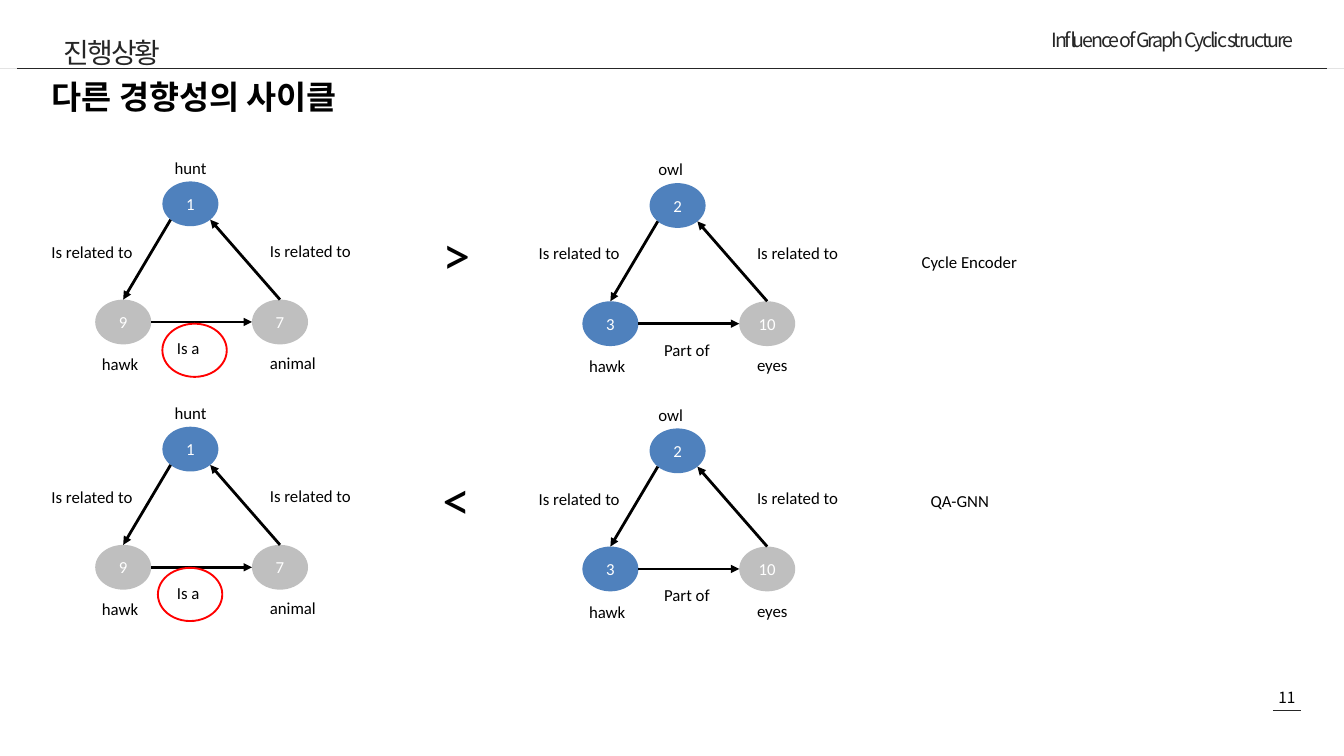
"""Build a slide comparing two graph cycles under two encoders."""
from dataclasses import dataclass

import pptx
import pptx.dml.color
import pptx.enum.shapes
import pptx.enum.text
import pptx.oxml.ns
import pptx.util
from lxml import etree

CELL = pptx.util.Inches(20) // 240
NODE_W, NODE_H = 10, 8
SITE = 0.5 ** 0.5 / 2
KOREAN, LATIN = "Noto Sans CJK KR", "Calibri"
BLACK, CHARCOAL, BLUE, GREY, RED = "000000", "262626", "4F81BD", "BFBFBF", "FF0000"
ALIGN = pptx.enum.text.PP_ALIGN
ANCHOR = pptx.enum.text.MSO_ANCHOR
SHAPE = pptx.enum.shapes.MSO_SHAPE


@dataclass(frozen=True)
class Node:
    number: str
    label: str
    label_col: float
    label_row: float
    fill: str


@dataclass(frozen=True)
class Cycle:
    col: float
    row: float
    apex: Node
    left: Node
    right: Node
    base_relation: str


@dataclass(frozen=True)
class Comparison:
    row: float
    sign: str
    encoder: str
    encoder_col: float
    encoder_row: float
    ring_col: float
    ring_row: float


HUNT_CYCLE = Cycle(17, 0, Node("1", "hunt", 13, -4.9, BLUE), Node("9", "hawk", 0, 30.2, GREY),
                   Node("7", "animal", 30, 30, GREY), "Is a")
OWL_CYCLE = Cycle(104, 0.3, Node("2", "owl", 12.4, -4.9, BLUE), Node("3", "hawk", 0, 30.3, BLUE),
                  Node("10", "eyes", 30, 30.1, GREY), "Part of")
COMPARISONS = [
    Comparison(32.4, ">", "Cycle Encoder", 163.4, 12, 29, 25.4),
    Comparison(76.2, "<", "QA-GNN", 165, 10.8, 28.2, 25.2),
]


def cells(count: float) -> pptx.util.Emu:
    """Turn grid cells into a length."""
    return pptx.util.Emu(round(count * CELL))


def box(col: float, row: float, width: float, height: float) -> list:
    """Return a frame given in grid cells."""
    return [cells(value) for value in (col, row, width, height)]


def rgb(value: str) -> pptx.dml.color.RGBColor:
    """Read a hex colour."""
    return pptx.dml.color.RGBColor.from_string(value)


def write(shape, text: str, size: float, font: str = LATIN, color: str = BLACK,
          bold: bool = False, align=ALIGN.LEFT, anchor=ANCHOR.TOP, spacing: float = 0) -> None:
    """Fill a shape with one formatted paragraph."""
    frame = shape.text_frame
    frame.text = text
    frame.vertical_anchor = anchor
    paragraph = frame.paragraphs[0]
    paragraph.alignment = align
    run = paragraph.runs[0]
    run.font.size = pptx.util.Pt(size)
    run.font.name = font
    run.font.bold = bold
    run.font.color.rgb = rgb(color)
    properties = run.font._element
    if spacing:
        properties.set("spc", str(round(spacing * 100)))
    east_asian = etree.Element(pptx.oxml.ns.qn("a:ea"), typeface=font)
    properties.find(pptx.oxml.ns.qn("a:latin")).addnext(east_asian)


def add_text(slide, frame: list, text: str, size: float = 18, wrap: bool = True, **style):
    """Add a text box."""
    shape = slide.shapes.add_textbox(*frame)
    shape.text_frame.word_wrap = wrap
    write(shape, text, size, **style)
    return shape


def add_plain(slide, kind, frame: list, fill: str = "", outline: str = ""):
    """Add a preset shape without shadow."""
    shape = slide.shapes.add_shape(kind, *frame)
    shape.shadow.inherit = False
    if fill:
        shape.fill.solid()
        shape.fill.fore_color.rgb = rgb(fill)
    else:
        shape.fill.background()
    if outline:
        shape.line.color.rgb = rgb(outline)
        shape.line.width = pptx.util.Pt(2)
    else:
        shape.line.fill.background()
    return shape


def add_line(slide, start: tuple, end: tuple, color: str, width: float, arrow: bool = False):
    """Add a straight line between two grid points."""
    line = slide.shapes.add_connector(pptx.enum.shapes.MSO_CONNECTOR.STRAIGHT,
                                      *map(cells, start + end))
    line.line.color.rgb = rgb(color)
    line.line.width = pptx.util.Pt(width)
    if arrow:
        etree.SubElement(line.line._get_or_add_ln(), pptx.oxml.ns.qn("a:tailEnd"), type="triangle")
    etree.SubElement(line._element.spPr, pptx.oxml.ns.qn("a:effectLst"))
    return line


def add_label(slide, col: float, row: float, text: str, width: float = 20) -> None:
    """Add a small label."""
    add_text(slide, box(col, row, width, 4.8), text)


def add_node(slide, node: Node, col: float, row: float):
    """Add a numbered node."""
    shape = add_plain(slide, SHAPE.OVAL, box(col, row, NODE_W, NODE_H), node.fill)
    write(shape, node.number, 18, color="FFFFFF", align=ALIGN.CENTER, anchor=ANCHOR.MIDDLE)
    return shape


def add_cycle(slide, cycle: Cycle, top: float) -> None:
    """Draw three nodes, their relations and labels."""
    col, row = cycle.col, top + cycle.row
    base = row + 21.1
    add_node(slide, cycle.apex, col + 12, row)
    left = add_node(slide, cycle.left, col, base)
    right = add_node(slide, cycle.right, col + 28, base)

    apex_x, apex_y = col + 12 + NODE_W / 2, row + NODE_H * (0.5 + SITE)
    left_top, right_top = (col + NODE_W / 2, base), (col + 28 + NODE_W / 2, base)
    middle = base + NODE_H / 2
    down = add_line(slide, (apex_x - NODE_W * SITE, apex_y), left_top, BLACK, 3, True)
    down.end_connect(left, 0)
    add_line(slide, (col + NODE_W, middle), (col + 28, middle), BLACK, 3, True)
    up = add_line(slide, right_top, (apex_x + NODE_W * SITE, apex_y), BLACK, 3, True)
    up.begin_connect(right, 0)

    for node in (cycle.apex, cycle.left, cycle.right):
        add_label(slide, col + node.label_col, row + node.label_row, node.label)
    add_label(slide, col - 9, row + 10.1, "Is related to")
    add_label(slide, col + 13.4, row + 27.3, cycle.base_relation)
    add_label(slide, col + 30, row + 10, "Is related to")


def add_header(slide) -> None:
    """Draw the running head, titles and page number."""
    add_text(slide, box(223.7, 122.3, 12.2, 4.6), "11", 16.5, font=KOREAN, align=ALIGN.CENTER)
    add_line(slide, (227.3, 126.8), (232.3, 126.8), CHARCOAL, 0.5)
    add_text(slide, box(128.8, 4.4, 103.4, 6.2), "Influence of Graph Cyclic structure", 21,
             font=KOREAN, color=CHARCOAL, align=ALIGN.RIGHT, spacing=-2.2)
    add_plain(slide, SHAPE.RECTANGLE, box(0, 12.2, 240, 0), CHARCOAL)
    add_line(slide, (3.1, 12.2), (236.9, 12.2), CHARCOAL, 0.5)
    section = add_text(slide, box(10.2, 2.3, 109.8, 12.2), "진행상황", 30, font=KOREAN,
                       color=CHARCOAL, anchor=ANCHOR.MIDDLE, spacing=-2.2)
    section.text_frame.paragraphs[0].line_spacing = 1.3
    title = slide.shapes.title
    title.left, title.top, title.width, title.height = box(8, 13.2, 80.8, 8.3)
    title.text_frame.auto_size = pptx.enum.text.MSO_AUTO_SIZE.NONE
    write(title, "다른 경향성의 사이클", 35, font=KOREAN, bold=True)


def main() -> None:
    """Build and save the slide."""
    deck = pptx.Presentation()
    deck.slide_width, deck.slide_height = cells(240), cells(135)
    slide = deck.slides.add_slide(deck.slide_layouts[5])
    add_header(slide)
    for comparison in COMPARISONS:
        top = comparison.row
        add_cycle(slide, HUNT_CYCLE, top)
        add_cycle(slide, OWL_CYCLE, top)
        add_text(slide, box(77.8, top + 6.2, 7.4, 13.3), comparison.sign, 60, wrap=False)
        add_label(slide, comparison.encoder_col, top + comparison.encoder_row,
                  comparison.encoder, 25.4)
        add_plain(slide, SHAPE.OVAL, box(comparison.ring_col, top + comparison.ring_row, 11.5, 9.5),
                  outline=RED)
    deck.save("out.pptx")


if __name__ == "__main__":
    main()
